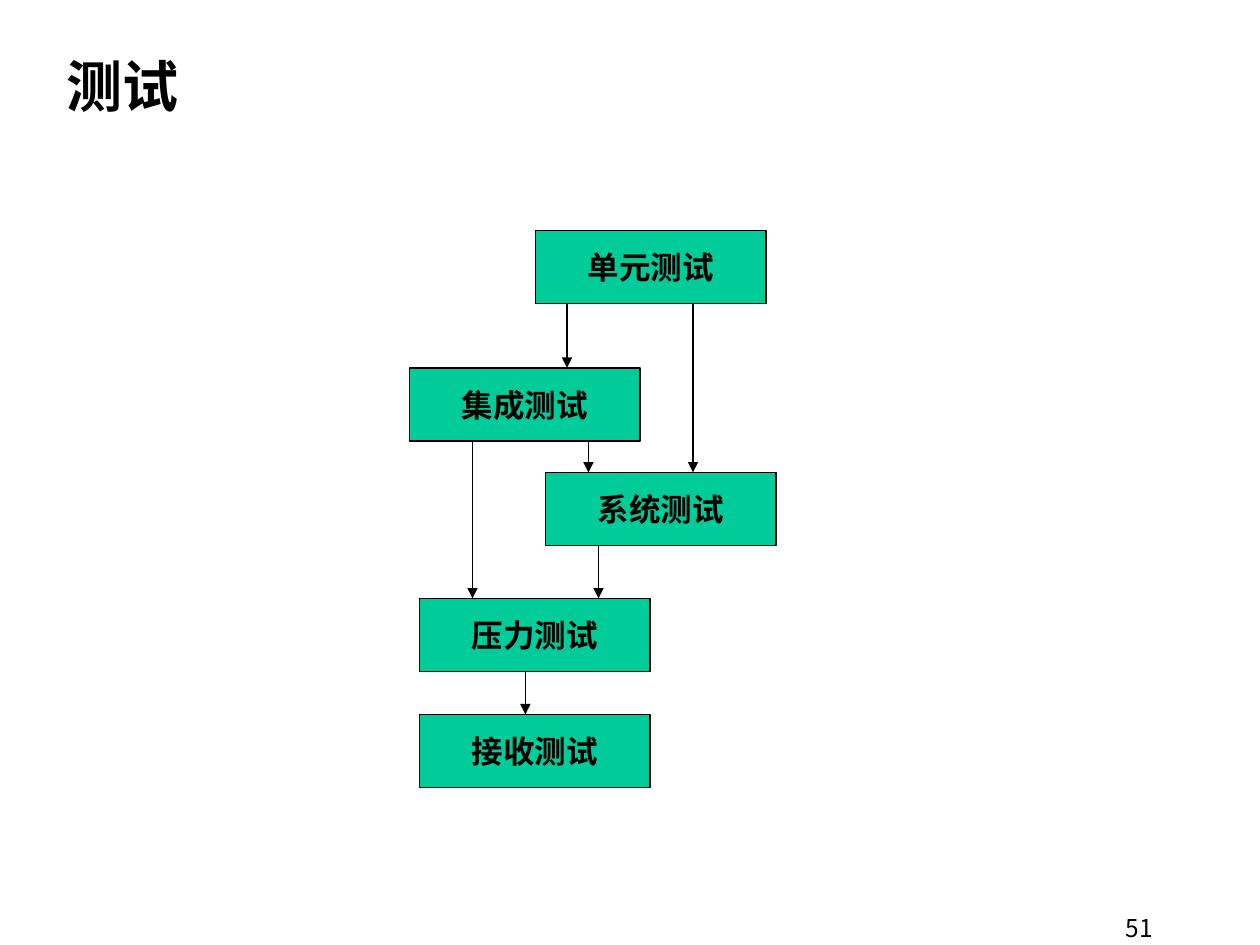
import pptx
import pptx.dml.color
import pptx.enum.shapes
import pptx.enum.text
import pptx.oxml.ns
import pptx.util
from lxml import etree
from pptx.util import Inches

ALIGN = pptx.enum.text.PP_ALIGN
BLACK, GREEN = "000000", "00CC99"
STAGE_WIDTH, STAGE_HEIGHT = 1.83, 0.58

STAGES = {
    "接收测试": (3.33, 5.67),
    "压力测试": (3.33, 4.75),
    "系统测试": (4.33, 3.75),
    "集成测试": (3.25, 2.92),
    "单元测试": (4.25, 1.83),
}
FLOWS = [
    ("单元测试", "集成测试", 4.5),
    ("单元测试", "系统测试", 5.5),
    ("集成测试", "系统测试", 4.67),
    ("集成测试", "压力测试", 3.75),
    ("系统测试", "压力测试", 4.75),
    ("压力测试", "接收测试", 4.17),
]


def color(hex_value):
    return pptx.dml.color.RGBColor.from_string(hex_value)


def write(frame, text, size, font, align, bold=False, wrap=True):
    frame.word_wrap = wrap
    frame.vertical_anchor = pptx.enum.text.MSO_ANCHOR.MIDDLE
    paragraph = frame.paragraphs[0]
    paragraph.text = text
    paragraph.alignment = align
    paragraph.font.size = pptx.util.Pt(size)
    paragraph.font.name = font
    paragraph.font.bold = bold
    paragraph.font.color.rgb = color(BLACK)


def add_label(slide, left, top, width, height, *style, **options):
    label = slide.shapes.add_textbox(
        Inches(left), Inches(top), Inches(width), Inches(height))
    write(label.text_frame, *style, **options)


def add_stage(slide, name, left, top):
    stage = slide.shapes.add_shape(
        pptx.enum.shapes.MSO_SHAPE.RECTANGLE, Inches(left), Inches(top),
        Inches(STAGE_WIDTH), Inches(STAGE_HEIGHT))
    stage.shadow.inherit = False
    stage.fill.solid()
    stage.fill.fore_color.rgb = color(GREEN)
    stage.line.color.rgb = color(BLACK)
    stage.line.width = pptx.util.Pt(0.75)
    write(stage.text_frame, name, 18, "Arial", ALIGN.CENTER, bold=True, wrap=False)


def add_flow(slide, source, target, x):
    start = STAGES[source][1] + STAGE_HEIGHT
    end = STAGES[target][1]
    flow = slide.shapes.add_connector(
        pptx.enum.shapes.MSO_CONNECTOR.STRAIGHT,
        Inches(x), Inches(start), Inches(x), Inches(end))
    flow.line.color.rgb = color(BLACK)
    flow.line.width = pptx.util.Pt(0.75)
    qn = pptx.oxml.ns.qn
    etree.SubElement(flow.line._get_or_add_ln(), qn("a:tailEnd"), type="triangle")
    etree.SubElement(flow._element.spPr, qn("a:effectLst"))


def main():
    deck = pptx.Presentation()
    deck.slide_width, deck.slide_height = Inches(10), Inches(7.5)
    slide = deck.slides.add_slide(deck.slide_layouts[6])
    add_label(slide, 7.17, 7.22, 2.08, 0.28,
              "51", 14, "Noto Sans CJK KR", ALIGN.RIGHT)
    add_label(slide, 0.43, 0.36, 9.06, 0.63,
              "测试", 32, "Arial", ALIGN.LEFT, bold=True)
    for name, (left, top) in STAGES.items():
        add_stage(slide, name, left, top)
    for source, target, x in FLOWS:
        add_flow(slide, source, target, x)
    deck.save("out.pptx")


if __name__ == "__main__":
    main()
